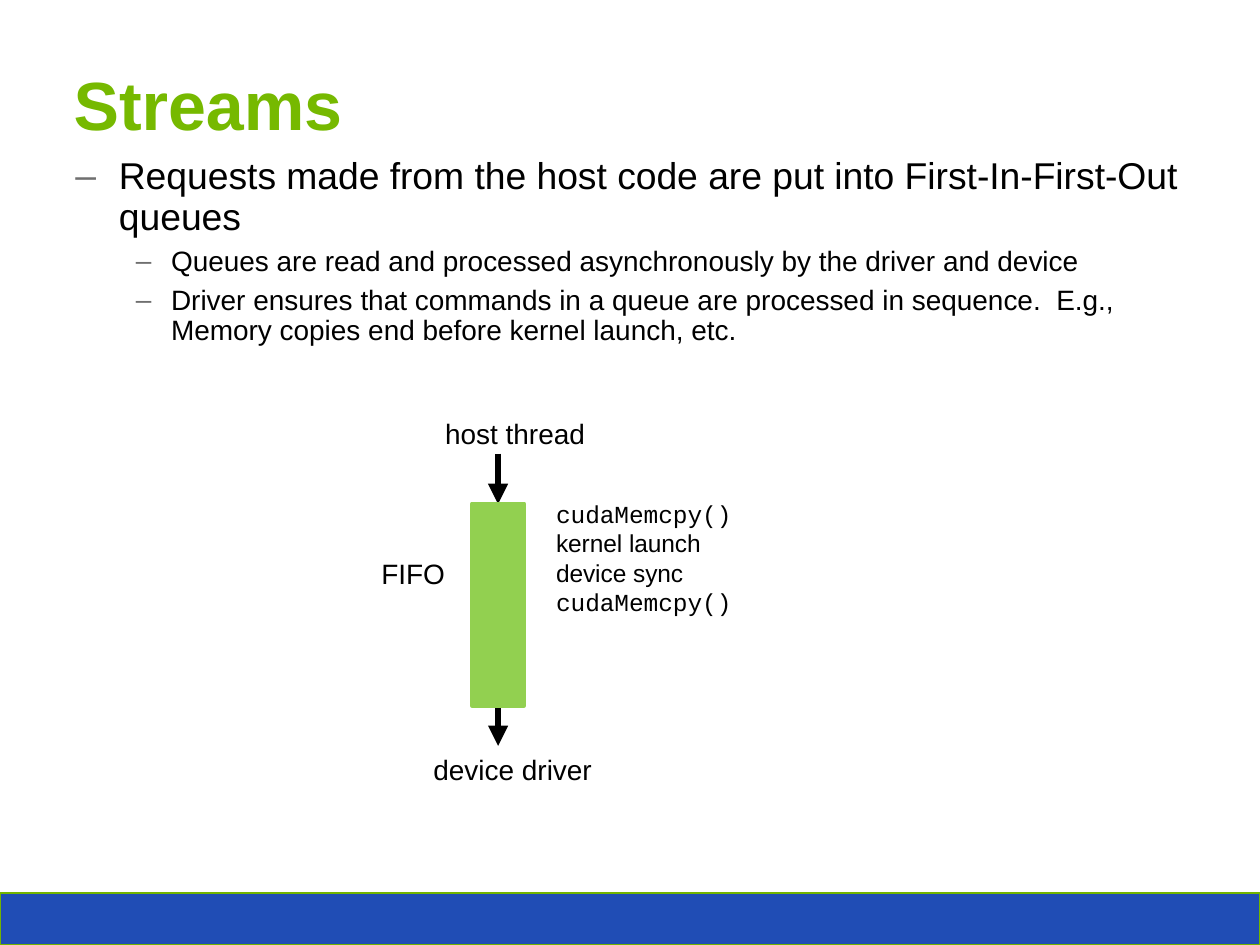
from lxml.etree import SubElement
from pptx import Presentation
from pptx.dml.color import RGBColor
from pptx.enum.shapes import MSO_CONNECTOR, MSO_SHAPE
from pptx.enum.text import MSO_ANCHOR
from pptx.oxml.ns import qn
from pptx.util import Inches, Pt

COLORS = {
    "title": "76B900", "text": "000000", "dash": "6F6F6F",
    "bar": "204DB5", "edge": "72B400", "queue": "92D050",
}
SANS, MONO = "Arial", "Courier New"
WIDE = 7.5
HIGH = WIDE * 3 / 4
BAR = 0.31
TITLE = "Streams"
BULLETS = [
    (0, "Requests made from the host code are put into First-In-First-Out queues"),
    (1, "Queues are read and processed asynchronously by the driver and device"),
    (1, "Driver ensures that commands in a queue are processed in sequence.  "
        "E.g., Memory copies end before kernel launch, etc."),
]
LEVELS = [(16, 0.26, -0.26), (12, 0.57, -0.21)]
LABELS = [
    ((2.58, 2.44, 1.26, 0.28), 12, [("host thread", SANS)]),
    ((2.2, 3.27, 0.54, 0.28), 12, [("FIFO", SANS)]),
    ((2.51, 4.44, 1.46, 0.28), 12, [("device driver", SANS)]),
    ((3.24, 2.93, 1.23, 0.73), 10.5, [
        ("cudaMemcpy()", MONO), ("kernel launch", SANS),
        ("device sync", SANS), ("cudaMemcpy()", MONO),
    ]),
]
QUEUE = (2.81, 3, 0.31, 1.2)
ENTRY, EXIT = 2.7, 4.44

deck = Presentation()
deck.slide_width, deck.slide_height = Inches(WIDE), Inches(HIGH)
slide = deck.slides.add_slide(deck.slide_layouts[6])
shapes = slide.shapes


def color(name):
    return RGBColor.from_string(COLORS[name])


def add_box(place, fill, edge, width):
    box = shapes.add_shape(MSO_SHAPE.RECTANGLE, *map(Inches, place))
    box.shadow.inherit = False
    box.fill.solid()
    box.fill.fore_color.rgb = color(fill)
    box.line.color.rgb = color(edge)
    box.line.width = Pt(width)
    return box


def add_frame(place, wrap=True, pads=(0.1, 0.05)):
    frame = shapes.add_textbox(*map(Inches, place)).text_frame
    frame.word_wrap = wrap
    frame.margin_left = frame.margin_right = Inches(pads[0])
    frame.margin_top = frame.margin_bottom = Inches(pads[1])
    return frame


def next_para(frame, index):
    return frame.add_paragraph() if index else frame.paragraphs[0]


def add_run(para, text, size, font=SANS, tone="text", bold=False):
    run = para.add_run()
    run.text = text
    run.font.size, run.font.name, run.font.bold = Pt(size), font, bold
    run.font.color.rgb = color(tone)


def add_dash(para, left, indent):
    props = para._p.get_or_add_pPr()
    props.set("marL", str(Inches(left)))
    props.set("indent", str(Inches(indent)))
    tint = SubElement(props, qn("a:buClr"))
    SubElement(tint, qn("a:srgbClr"), val=COLORS["dash"])
    SubElement(props, qn("a:buFont"), typeface=SANS)
    SubElement(props, qn("a:buChar"), char="–")


def add_arrow(x, top, end):
    arrow = shapes.add_connector(
        MSO_CONNECTOR.STRAIGHT, *map(Inches, (x, top, x, end)))
    arrow.line.color.rgb = color("text")
    arrow.line.width = Pt(2.89)
    SubElement(arrow.line._get_or_add_ln(), qn("a:tailEnd"), type="triangle")
    SubElement(arrow._element.spPr, qn("a:effectLst"))
    return arrow


add_box((0, HIGH - BAR, WIDE, BAR), "bar", "edge", 0.75)

head = add_frame((0.34, 0.32, 6.82, 0.59))
head.vertical_anchor = MSO_ANCHOR.MIDDLE
add_run(head.paragraphs[0], TITLE, 29.2, tone="title", bold=True)

body = add_frame((0.35, 0.89, 6.8, 4.4))
for index, (level, text) in enumerate(BULLETS):
    size, left, indent = LEVELS[level]
    para = next_para(body, index)
    para.level = level
    para.line_spacing = 0.9
    para.space_before = para.space_after = Pt(1.9)
    add_dash(para, left, indent)
    add_run(para, text, size)

for place, size, lines in LABELS:
    frame = add_frame(place, False, (0.07, 0.04))
    for index, (text, font) in enumerate(lines):
        add_run(next_para(frame, index), text, size, font)

left, top, width, height = QUEUE
mid = left + width / 2
inward = add_arrow(mid, ENTRY, top)
outward = add_arrow(mid, top + height, EXIT)
queue = add_box(QUEUE, "queue", "queue", 2)
inward.end_connect(queue, 0)
outward.begin_connect(queue, 2)

deck.save("out.pptx")
